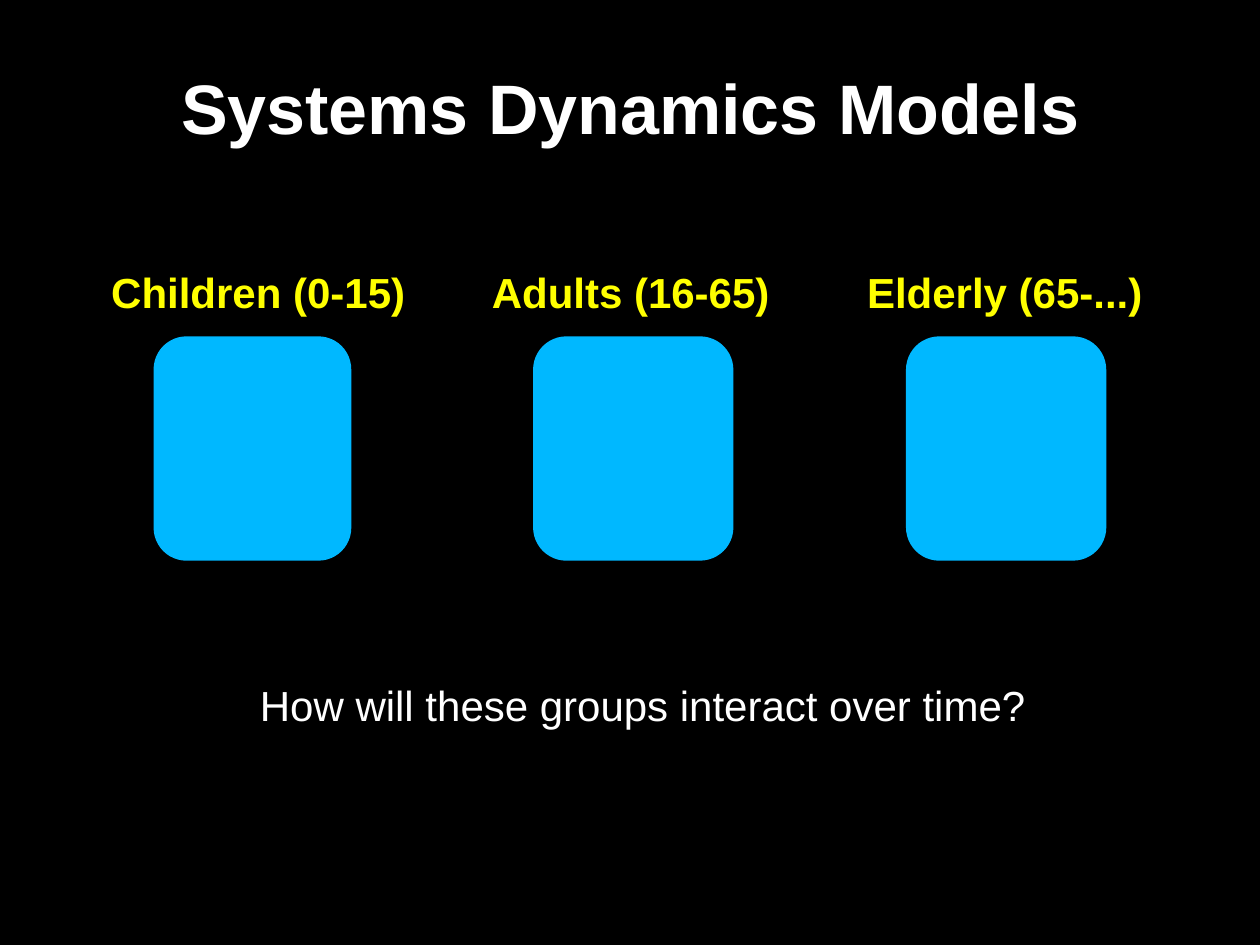
import dataclasses

import pptx
import pptx.dml.color
import pptx.enum.shapes
import pptx.enum.text
import pptx.util

Pt = pptx.util.Pt


@dataclasses.dataclass(frozen=True)
class Theme:
    background: str = "000000"
    text: str = "FFFFFF"
    label: str = "FFFF00"
    stock: str = "00B8FF"
    font: str = "Arial"
    title_size: int = 40
    body_size: int = 24


THEME = Theme()

# Each group: label, label left and width, stock left and width (points)
GROUPS = [
    ("Children (0-15)", 55.4, 184.3, 87.8, 113),
    ("Adults (16-65)", 272.9, 175, 304.6, 114.5),
    ("Elderly (65-...)", 487.4, 173.5, 517.7, 114.5),
]


def paint(fill, color):
    fill.solid()
    fill.fore_color.rgb = pptx.dml.color.RGBColor.from_string(color)


def add_text(page, box, text, size, color, bold=False, wrap=False):
    """Place one centred line of text in box (left, top, width, height)."""
    frame = page.shapes.add_textbox(*map(Pt, box)).text_frame
    frame.word_wrap = wrap
    frame.text = text
    para = frame.paragraphs[0]
    para.alignment = pptx.enum.text.PP_ALIGN.CENTER
    font = para.runs[0].font
    font.name, font.size, font.bold = THEME.font, Pt(size), bold
    font.color.rgb = pptx.dml.color.RGBColor.from_string(color)
    return frame


def add_title(page, box):
    frame = add_text(page, box, "Systems Dynamics Models",
                     THEME.title_size, THEME.text, bold=True, wrap=True)
    frame.vertical_anchor = pptx.enum.text.MSO_ANCHOR.MIDDLE
    frame.margin_top, frame.margin_bottom = Pt(6.5), Pt(3.6)


def add_stock(page, box):
    stock = page.shapes.add_shape(
        pptx.enum.shapes.MSO_SHAPE.ROUNDED_RECTANGLE, *map(Pt, box))
    stock.shadow.inherit = False
    paint(stock.fill, THEME.stock)
    stock.line.fill.background()


def add_groups(page, box):
    """Place the labelled stocks; labels on top, stocks down to the bottom."""
    left, top, width, height = box
    label_height, stock_offset = 36, 43.2
    for text, label_left, label_width, stock_left, stock_width in GROUPS:
        add_stock(page, (left + stock_left, top + stock_offset,
                         stock_width, height - stock_offset))
        add_text(page, (left + label_left, top, label_width, label_height),
                 text, THEME.body_size, THEME.label, bold=True)


def add_question(page, box):
    add_text(page, box, "How will these groups interact over time?",
             THEME.body_size, THEME.text)


def main():
    deck = pptx.Presentation()
    deck.slide_width, deck.slide_height = Pt(720), Pt(540)
    page = deck.slides.add_slide(deck.slide_layouts[6])
    paint(page.background.fill, THEME.background)

    add_title(page, (0, 1.4, 720, 116))
    add_groups(page, (0, 149, 720, 171.4))
    add_question(page, (139, 384.5, 456.5, 36))

    deck.save("out.pptx")


if __name__ == "__main__":
    main()
